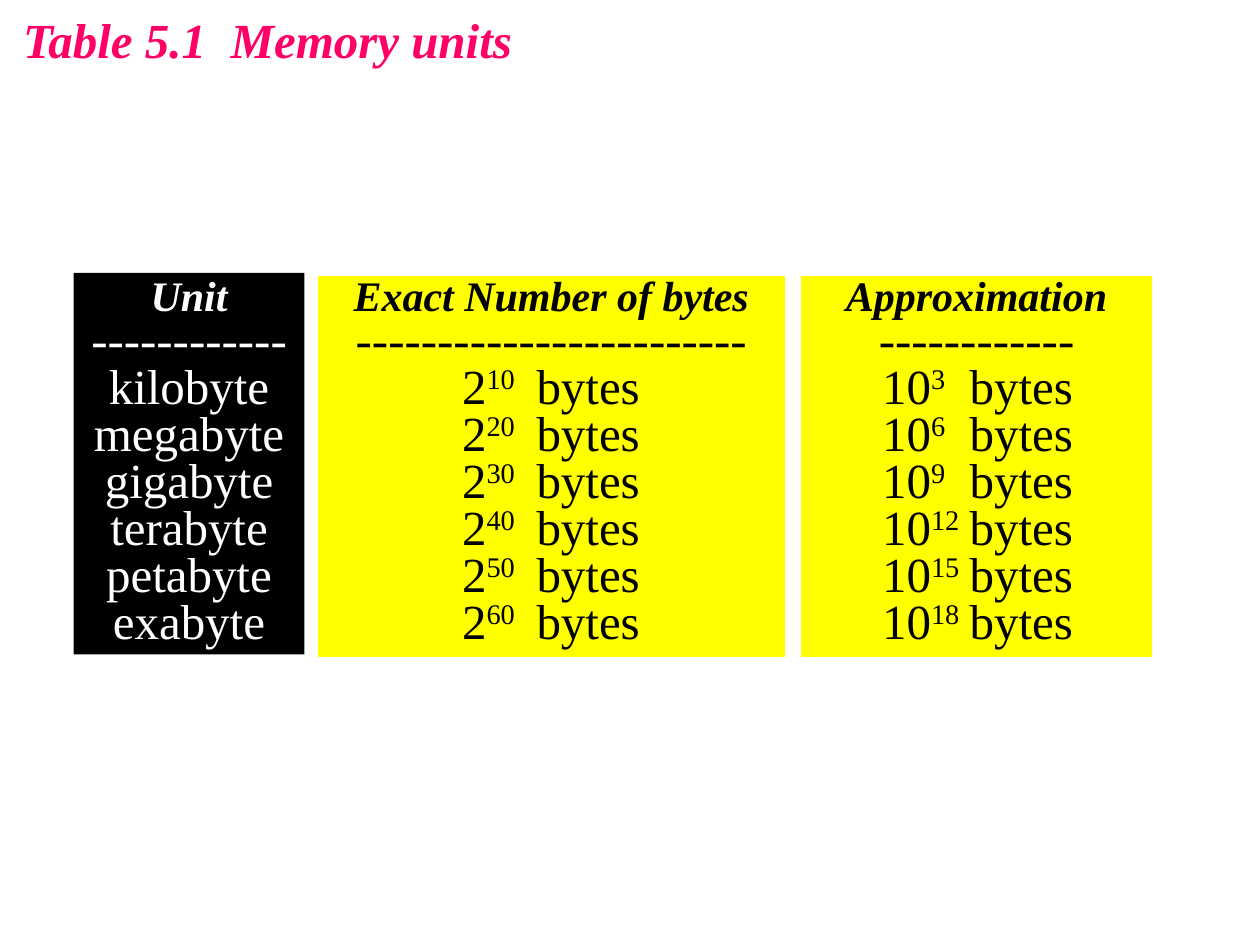
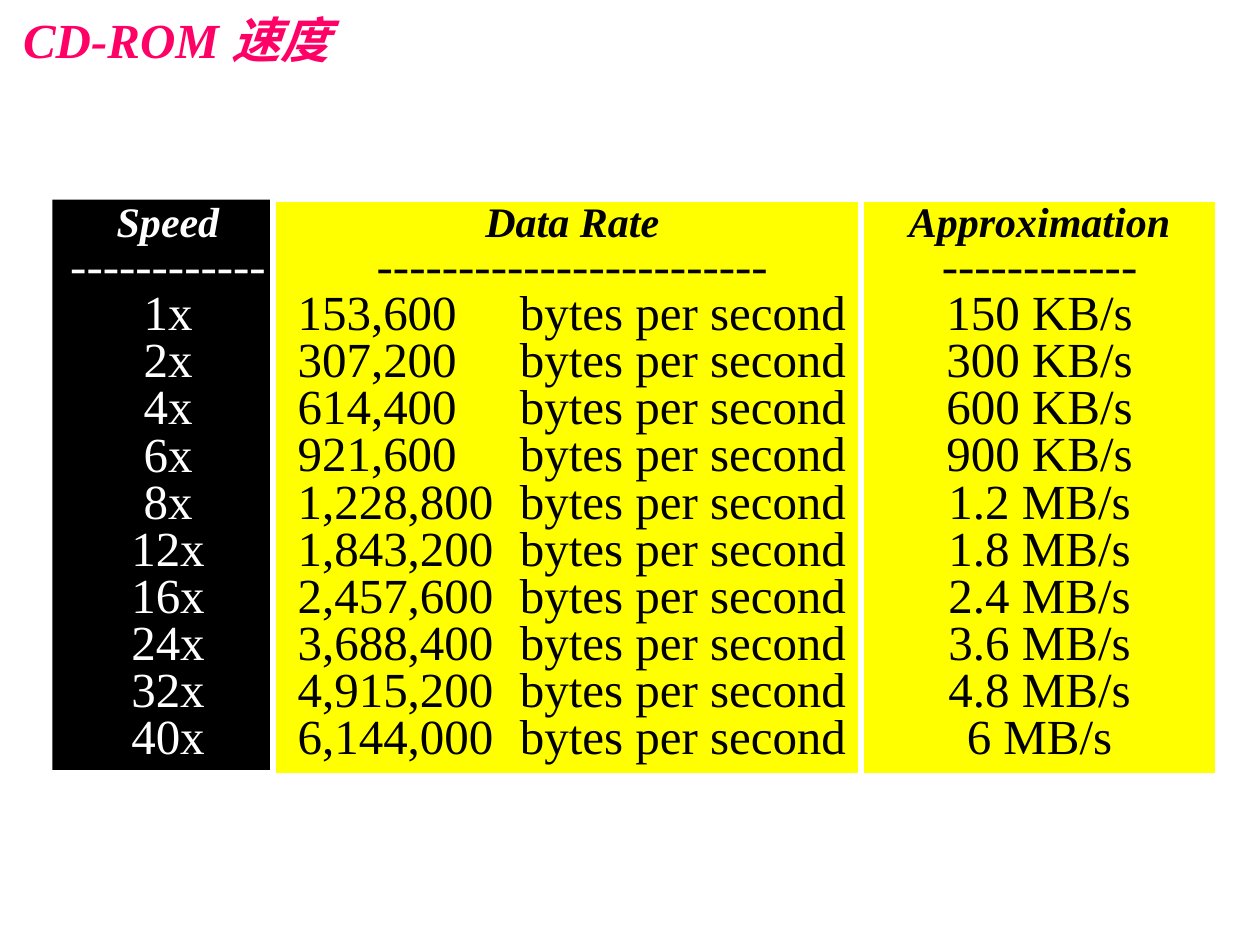
"""Build two slides of column tables: memory units and CD-ROM speeds."""
from dataclasses import dataclass

from lxml.etree import SubElement
from pptx import Presentation
from pptx.dml.color import RGBColor
from pptx.enum.shapes import MSO_SHAPE
from pptx.enum.text import MSO_ANCHOR, MSO_AUTO_SIZE, PP_ALIGN
from pptx.oxml.ns import qn
from pptx.presentation import Presentation as Deck
from pptx.shapes.autoshape import Shape
from pptx.slide import Slide
from pptx.text.text import Font, TextFrame
from pptx.util import Pt


@dataclass(frozen=True)
class Theme:
    font: str = "Times New Roman"
    title_color: RGBColor = RGBColor(0xFF, 0x00, 0x66)
    black: RGBColor = RGBColor(0x00, 0x00, 0x00)
    white: RGBColor = RGBColor(0xFF, 0xFF, 0xFF)
    yellow: RGBColor = RGBColor(0xFF, 0xFF, 0x00)
    heading_size: int = 24
    text_size: int = 28
    border: int = 3
    line_spacing: float = 0.8


THEME = Theme()


@dataclass(frozen=True)
class Column:
    heading: str
    dashes: int
    left: float
    width: float
    rows: tuple[str, ...]
    tab_stops: tuple[float, ...] = ()


@dataclass(frozen=True)
class TableSlide:
    title: str
    title_width: float
    top: float
    label_height: float
    value_height: float
    columns: tuple[Column, ...]


RATES = ("153,600", "307,200", "614,400", "921,600", "1,228,800",
         "1,843,200", "2,457,600", "3,688,400", "4,915,200", "6,144,000")

SLIDES = (
    TableSlide("Table 5.1  Memory units", 297, 156, 218, 221, (
        Column("Unit", 12, 42, 132, tuple(
            f"{prefix}byte" for prefix in ("kilo", "mega", "giga", "tera", "peta", "exa"))),
        Column("Exact Number of bytes", 24, 180, 270, tuple(
            f"\t2|{power}|\tbytes" for power in range(10, 70, 10)), (77, 119.5)),
        Column("Approximation", 12, 456, 204, tuple(
            f"\t10|{power}|\tbytes" for power in range(3, 21, 3)), (41, 91)),
    )),
    TableSlide("CD-ROM 速度", 192, 114, 326, 329, (
        Column("Speed", 12, 30, 132, tuple(
            f"{speed}x" for speed in (1, 2, 4, 6, 8, 12, 16, 24, 32, 40))),
        Column("Data Rate", 24, 156, 342, tuple(
            f"\t{rate}\tbytes per second" for rate in RATES), (7, 134)),
        Column("Approximation", 12, 492, 204, (
            *(f"{rate} KB/s" for rate in (150, 300, 600, 900)),
            *(f"{rate} MB/s" for rate in (1.2, 1.8, 2.4, 3.6, 4.8, 6)))),
    )),
)


def style_font(font: Font, size: int, color: RGBColor, heading: bool = False) -> None:
    """Apply the shared typeface; headings are bold italic."""
    font.name, font.size = THEME.font, Pt(size)
    font.bold = font.italic = heading
    font.color.rgb = color


def place(shape: Shape, left: float, top: float, width: float, height: float) -> None:
    """Move and size a shape in points."""
    shape.left, shape.top = Pt(left), Pt(top)
    shape.width, shape.height = Pt(width), Pt(height)


def prepare_frame(text_frame: TextFrame) -> None:
    """Wrap text from the top at a fixed size."""
    text_frame.word_wrap = True
    text_frame.auto_size = MSO_AUTO_SIZE.NONE
    text_frame.vertical_anchor = MSO_ANCHOR.TOP


def add_title(slide: Slide, text: str, width: float) -> None:
    """Fill the title placeholder at the top left."""
    title = slide.shapes.title
    place(title, 6, 2, width, 41)
    title.text_frame.text = text
    prepare_frame(title.text_frame)
    paragraph = title.text_frame.paragraphs[0]
    paragraph.alignment = PP_ALIGN.LEFT
    for run in paragraph.runs:
        style_font(run.font, THEME.text_size, THEME.title_color, heading=True)


def add_row(text_frame: TextFrame, text: str, color: RGBColor,
            tab_stops: tuple[float, ...]) -> None:
    """Add one row, raising the text between bars as an exponent."""
    paragraph = text_frame.add_paragraph()
    paragraph.line_spacing = THEME.line_spacing
    paragraph.alignment = PP_ALIGN.LEFT if tab_stops else PP_ALIGN.CENTER
    if tab_stops:
        tab_list = SubElement(paragraph._p.get_or_add_pPr(), qn("a:tabLst"))
        for stop in tab_stops:
            SubElement(tab_list, qn("a:tab"), pos=str(Pt(stop)), algn="l")
    for index, part in enumerate(text.split("|")):
        run = paragraph.add_run()
        run.text = part
        style_font(run.font, THEME.text_size, color)
        if index % 2:
            run._r.get_or_add_rPr().set("baseline", "30000")


def add_column(slide: Slide, column: Column, top: float, height: float,
               is_label: bool) -> None:
    """Draw one column as a filled rectangle with its heading and rows."""
    shape = slide.shapes.add_shape(MSO_SHAPE.RECTANGLE, Pt(column.left), Pt(top),
                                   Pt(column.width), Pt(height))
    shape.shadow.inherit = False
    shape.fill.solid()
    shape.fill.fore_color.rgb = THEME.black if is_label else THEME.yellow
    if is_label:
        shape.line.fill.background()
    else:
        shape.line.color.rgb = THEME.white
        shape.line.width = Pt(THEME.border)
    color = THEME.white if is_label else THEME.black
    text_frame = shape.text_frame
    prepare_frame(text_frame)
    paragraph = text_frame.paragraphs[0]
    paragraph.text = f"{column.heading}\v{'-' * column.dashes}"
    paragraph.alignment = PP_ALIGN.CENTER
    paragraph.line_spacing = THEME.line_spacing
    heading, rule = paragraph.runs
    style_font(heading.font, THEME.heading_size, color, heading=True)
    style_font(rule.font, THEME.text_size, color)
    for row in column.rows:
        add_row(text_frame, row, color, column.tab_stops)


def add_table_slide(presentation: Deck, table: TableSlide) -> None:
    """Add a slide with a title and a row of columns."""
    slide = presentation.slides.add_slide(presentation.slide_layouts[5])
    add_title(slide, table.title, table.title_width)
    for index, column in enumerate(table.columns):
        is_label = index == 0
        height = table.label_height if is_label else table.value_height
        add_column(slide, column, table.top, height, is_label)


def main() -> None:
    """Build and save the presentation."""
    presentation = Presentation()
    presentation.slide_width, presentation.slide_height = Pt(720), Pt(540)
    for table in SLIDES:
        add_table_slide(presentation, table)
    presentation.save("out.pptx")


if __name__ == "__main__":
    main()
